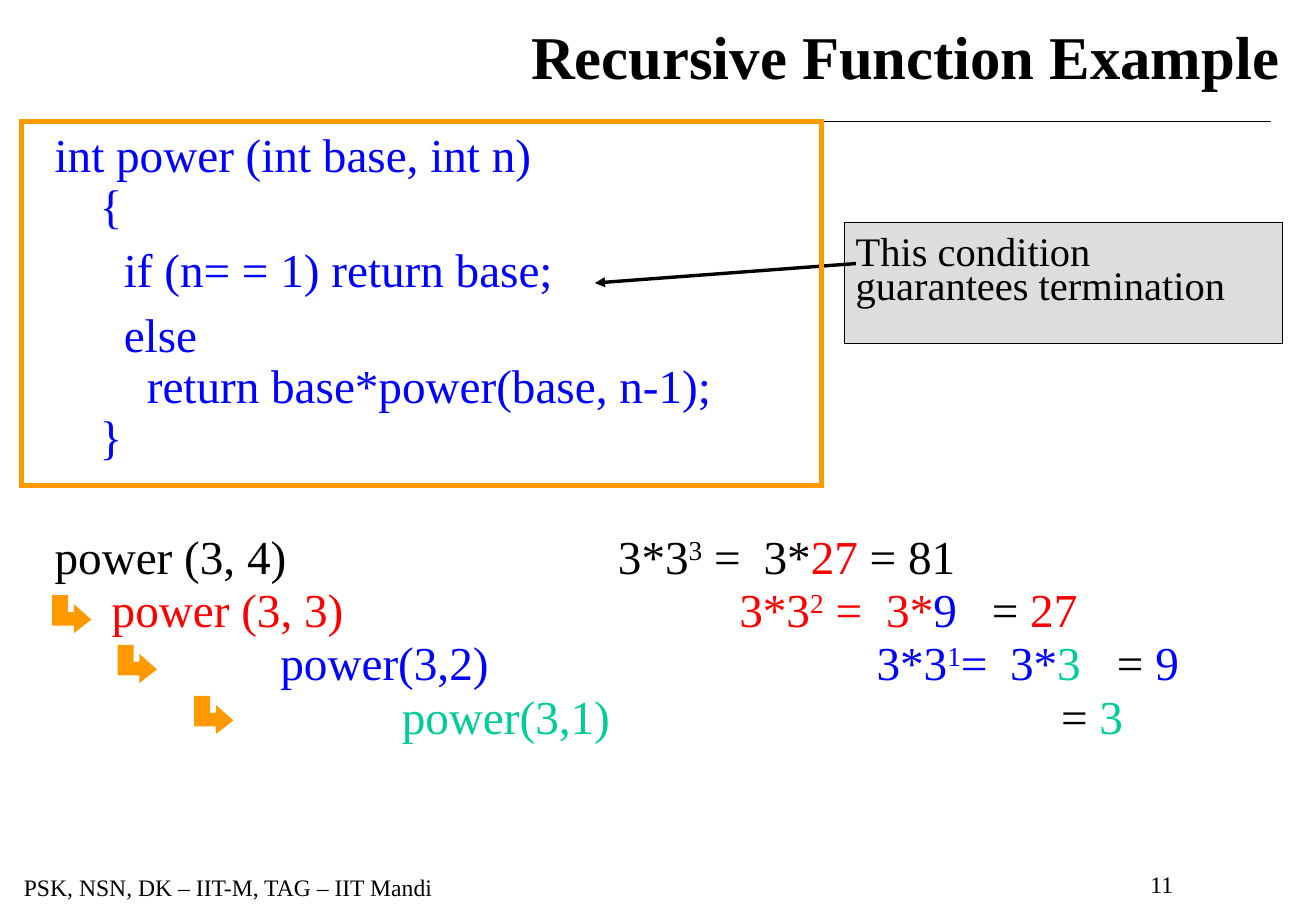
from lxml.etree import SubElement
from pptx import Presentation
from pptx.dml.color import RGBColor
from pptx.enum.shapes import MSO_CONNECTOR, MSO_SHAPE
from pptx.enum.text import MSO_ANCHOR, PP_ALIGN
from pptx.oxml.ns import qn
from pptx.util import Inches, Pt

BLACK = RGBColor(0x00, 0x00, 0x00)
BLUE = RGBColor(0x00, 0x00, 0xFF)
RED = RGBColor(0xFF, 0x00, 0x00)
GREEN = RGBColor(0x00, 0xCC, 0x99)
ORANGE = RGBColor(0xFF, 0x99, 0x00)
GREY = RGBColor(0xDD, 0xDD, 0xDD)


class LectureSlide:
    """Holds the lecture style and draws each kind of element on one slide."""

    font = "Times New Roman"

    def __init__(self, slide):
        self.slide = slide

    def frame(self, shape, insets=(0, 0, 0, 0), anchor=MSO_ANCHOR.TOP):
        frame = shape.text_frame
        frame.word_wrap = True
        frame.vertical_anchor = anchor
        (frame.margin_left, frame.margin_top,
         frame.margin_right, frame.margin_bottom) = map(Inches, insets)
        return frame

    def textbox(self, box, insets=(0, 0, 0, 0), anchor=MSO_ANCHOR.TOP):
        shape = self.slide.shapes.add_textbox(*map(Inches, box))
        return self.frame(shape, insets, anchor)

    def paragraph(self, frame, runs, size, align=PP_ALIGN.LEFT, spacing=1.0,
                  before=0, indent=0, tabs=(), bold=False):
        first = frame.paragraphs[0]
        paragraph = frame.add_paragraph() if first.runs else first
        paragraph.alignment = align
        paragraph.line_spacing = spacing
        paragraph.space_before = Pt(before)
        properties = paragraph._p.get_or_add_pPr()
        if indent:
            properties.set("marL", str(Inches(indent)))
        if tabs:
            stops = SubElement(properties, qn("a:tabLst"))
            for position in tabs:
                SubElement(stops, qn("a:tab"), pos=str(Inches(position)), algn="l")
        for text, color, *raised in runs:
            run = paragraph.add_run()
            run.text = text
            run.font.name = self.font
            run.font.size = Pt(size)
            run.font.bold = bold
            run.font.color.rgb = color
            if raised:
                run._r.get_or_add_rPr().set("baseline", "30000")

    def outline(self, shape, color, width, fill=None):
        shape.shadow.inherit = False
        if fill is None:
            shape.fill.background()
        else:
            shape.fill.solid()
            shape.fill.fore_color.rgb = fill
        shape.line.color.rgb = color
        shape.line.width = Pt(width)
        SubElement(shape.line._get_or_add_ln(), qn("a:miter"), lim="800000")
        return shape

    def rectangle(self, box, color, width, fill=None):
        shape = self.slide.shapes.add_shape(MSO_SHAPE.RECTANGLE, *map(Inches, box))
        return self.outline(shape, color, width, fill)

    def line(self, start, end, width, arrow=False):
        connector = self.slide.shapes.add_connector(
            MSO_CONNECTOR.STRAIGHT, *map(Inches, start + end))
        connector.line.color.rgb = BLACK
        connector.line.width = Pt(width)
        if arrow:
            SubElement(connector.line._get_or_add_ln(), qn("a:tailEnd"), type="triangle")
        SubElement(connector._element.spPr, qn("a:effectLst"))

    def call_arrow(self, left, top):
        corners = [(0, 0), (0, 0.21), (0.18, 0.21), (0.18, 0.25), (0.27, 0.18),
                   (0.18, 0.1), (0.18, 0.14), (0.09, 0.14), (0.09, 0)]
        points = [(Inches(left + x), Inches(top + y)) for x, y in corners]
        builder = self.slide.shapes.build_freeform(*points[0])
        builder.add_line_segments(points[1:], close=True)
        self.outline(builder.convert_to_shape(), ORANGE, 3, ORANGE)


CODE = [
    ("int power (int base, int n)", 0, 8),
    ("{", 0.37, 0),
    ("if (n= = 1) return base;", 0.57, 8),
    ("else", 0.57, 8),
    ("return base*power(base, n-1);", 0.76, 0),
    ("}", 0.37, 0),
]

TRACE = [
    ([("power (3, 4)\t3*3", BLACK), ("3", BLACK, True), (" =\t3*", BLACK),
      ("27", RED), (" = 81", BLACK)], (4.64, 5.84), 46.5),
    ([("\tpower (3, 3)\t3*3", RED), ("2", RED, True), (" =\t3*", RED),
      ("9", BLUE), ("\t= ", BLACK), ("27", RED)], (0.47, 5.64, 6.85, 7.72), 8),
    ([("\tpower(3,2)\t3*3", BLUE), ("1", BLUE, True), ("=\t3*", BLUE),
      ("3", GREEN), ("\t= ", BLACK), ("9", BLUE)], (1.86, 6.77, 7.87, 8.75), 8),
    ([("\tpower(3,1)", GREEN), ("\t= ", BLACK), ("3", GREEN)], (2.86, 8.29), 8),
]


def main():
    presentation = Presentation()
    presentation.slide_width = Inches(10.84)
    presentation.slide_height = Inches(7.5)
    lecture = LectureSlide(presentation.slides.add_slide(presentation.slide_layouts[6]))

    footer_insets = (0.1, 0.05, 0.1, 0.05)
    for text, box in [("PSK, NSN, DK – IIT-M, TAG – IIT Mandi", (0, 7.14, 3.76, 0.34)),
                      ("11", (8.44, 7.11, 2.26, 0.34))]:
        footer = lecture.textbox(box, footer_insets)
        lecture.paragraph(footer, [(text, BLACK)], 14, PP_ALIGN.CENTER)

    lecture.line((0.45, 1), (10.47, 1), 0.75)
    title = lecture.textbox((0.93, 0, 9.61, 0.91), anchor=MSO_ANCHOR.MIDDLE)
    lecture.paragraph(title, [("Recursive Function Example", BLACK)], 36,
                      PP_ALIGN.RIGHT, bold=True)

    body = lecture.textbox((0.45, 1.08, 10.02, 5.75))
    for text, indent, before in CODE:
        lecture.paragraph(body, [(text, BLUE)], 28, spacing=0.9,
                          before=before, indent=indent)
    for runs, tabs, before in TRACE:
        lecture.paragraph(body, runs, 28, spacing=0.7, before=before, tabs=tabs)

    callout = lecture.rectangle((6.95, 1.83, 3.61, 1), BLACK, 0.25, GREY)
    condition = lecture.frame(callout, (0.1, 0.14, 0.1, 0.05))
    lecture.paragraph(condition, [("This condition guarantees termination", BLACK)],
                      24, spacing=0.7)
    lecture.line((7.05, 2.17), (4.9, 2.33), 2, arrow=True)

    for left, top in [(0.45, 4.92), (0.99, 5.33), (1.62, 5.75)]:
        lecture.call_arrow(left, top)
    lecture.rectangle((0.18, 1, 6.59, 3), ORANGE, 3)

    presentation.save("out.pptx")


if __name__ == "__main__":
    main()
